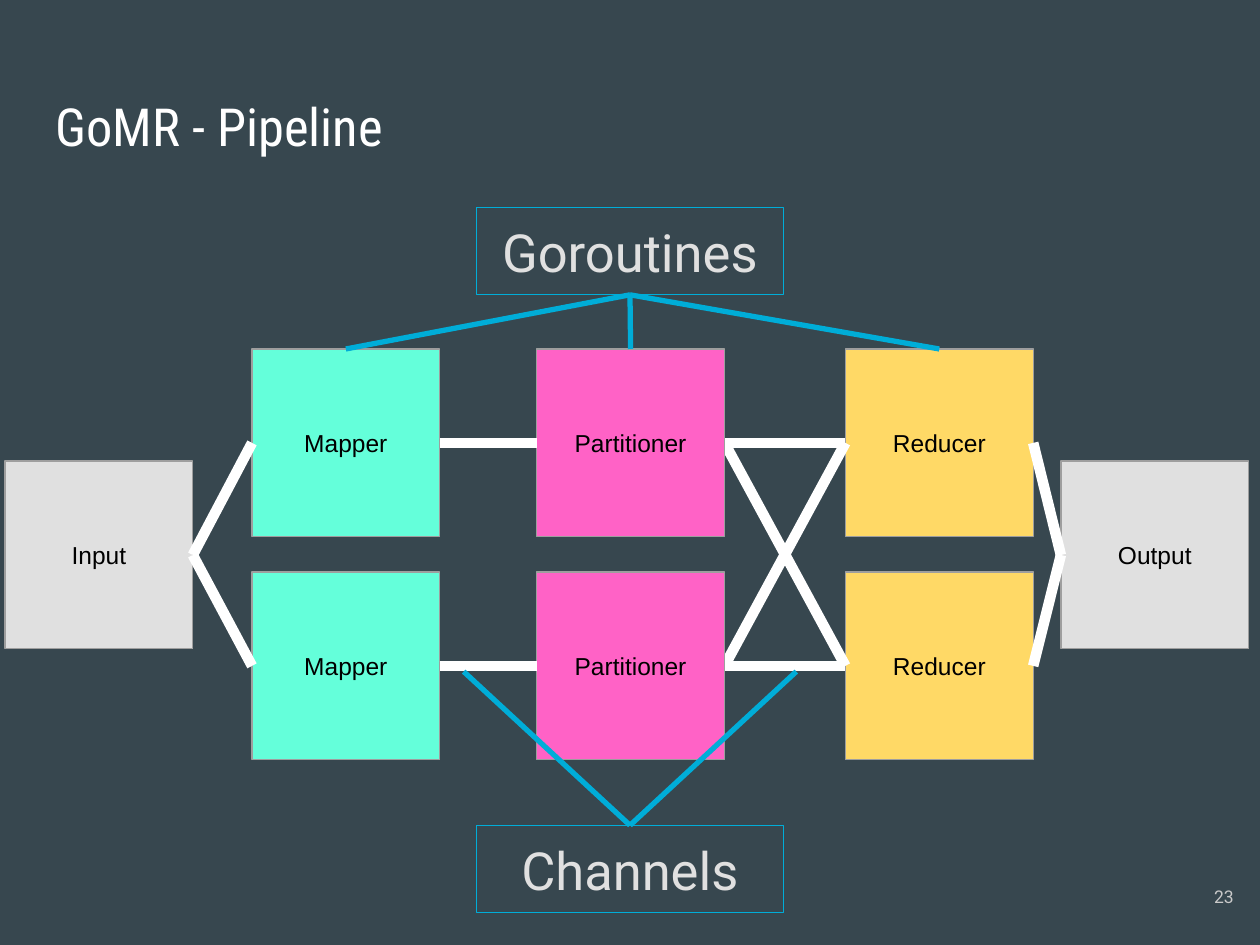
import itertools

import pptx
import pptx.dml.color
import pptx.enum.shapes
import pptx.enum.text
import pptx.oxml.ns
import pptx.util
from lxml import etree

COLORS = {
    "background": "37474F", "white": "FFFFFF", "black": "000000",
    "number": "CACACA", "label": "E0E0E0", "accent": "00ADD8",
    "edge": "9E9E9E", "data": "E0E0E0", "mapper": "64FFDA",
    "partitioner": "FF62C6", "reducer": "FFD966",
}
ALIGN = pptx.enum.text.PP_ALIGN
ANCHOR = pptx.enum.text.MSO_ANCHOR
COLUMNS, ROWS = 100, 75


def color(name):
    return pptx.dml.color.RGBColor.from_string(COLORS[name])


def set_values(target, values):
    for name, value in values.items():
        setattr(target, name, value)


class PipelineSlide:
    """Draws on one slide, with lengths in columns and rows of the grid."""

    FORMATS = {
        "title": ("Roboto Condensed", 30, "white", ALIGN.LEFT, ANCHOR.TOP),
        "label": ("Roboto", 30, "label", ALIGN.CENTER, ANCHOR.TOP),
        "stage": ("Arial", 14, "black", ALIGN.CENTER, ANCHOR.MIDDLE),
        "number": ("Roboto", 10, "number", ALIGN.RIGHT, ANCHOR.MIDDLE),
    }

    def __init__(self, deck):
        self.column = deck.slide_width / COLUMNS
        self.row = deck.slide_height / ROWS
        self.slide = deck.slides.add_slide(deck.slide_layouts[5])
        self.slide.background.fill.solid()
        self.slide.background.fill.fore_color.rgb = color("background")

    def place(self, left, top, width, height):
        return (round(left * self.column), round(top * self.row),
                round(width * self.column), round(height * self.row))

    def add_text(self, shape, text, style):
        font, size, ink, align, anchor = self.FORMATS[style]
        frame = shape.text_frame
        margins = ("margin_left", "margin_top", "margin_right", "margin_bottom")
        set_values(frame, dict.fromkeys(margins, pptx.util.Inches(0.1)))
        set_values(frame, {"word_wrap": True, "vertical_anchor": anchor,
                           "auto_size": pptx.enum.text.MSO_AUTO_SIZE.NONE})
        para = frame.paragraphs[0]
        para.alignment = align
        span = para.add_run()
        span.text = text
        set_values(span.font, {"name": font, "size": pptx.util.Pt(size)})
        span.font.color.rgb = color(ink)

    def title(self, text, *area):
        box = self.slide.shapes.title
        set_values(box, dict(zip(("left", "top", "width", "height"), self.place(*area))))
        self.add_text(box, text, "title")

    def number(self, text, *area):
        self.add_text(self.slide.shapes.add_textbox(*self.place(*area)), text, "number")

    def box(self, text, style, area, edge, fill=None):
        box = self.slide.shapes.add_shape(
            pptx.enum.shapes.MSO_SHAPE.RECTANGLE, *self.place(*area))
        box.shadow.inherit = False
        if fill:
            box.fill.solid()
            box.fill.fore_color.rgb = color(fill)
        else:
            box.fill.background()
        box.line.color.rgb = color(edge)
        box.line.width = pptx.util.Pt(0.75)
        self.add_text(box, text, style)

    def line(self, start, end, ink, width):
        line = self.slide.shapes.add_connector(
            pptx.enum.shapes.MSO_CONNECTOR.STRAIGHT, *self.place(*start, *end))
        line.line.color.rgb = color(ink)
        line.line.width = pptx.util.Pt(width)
        etree.SubElement(line._element.spPr, pptx.oxml.ns.qn("a:effectLst"))


def main():
    deck = pptx.Presentation()
    deck.slide_width, deck.slide_height = pptx.util.Inches(10), pptx.util.Inches(7.5)
    page = PipelineSlide(deck)
    page.title("GoMR - Pipeline", 3.4, 6.5, 93.2, 8.3)
    page.number("23", 92.9, 68.3, 6, 5.7)

    side = 14.9
    upper, middle, lower = 27.7, 36.6, 45.4
    pair, single = (upper, lower), (middle,)
    stages = {  # name: left, tops, fill
        "Input": (0.4, single, "data"),
        "Mapper": (20, pair, "mapper"),
        "Partitioner": (42.6, pair, "partitioner"),
        "Reducer": (67.1, pair, "reducer"),
        "Output": (84.2, single, "data"),
    }

    def draw_stage(name):
        left, tops, fill = stages[name]
        for top in tops:
            page.box(name, "stage", (left, top, side, side), "edge", fill)

    def link(source, target, same_lane=False):
        """Join the right edges of one stage to the left edges of the next."""
        start, tops, _ = stages[source]
        end, next_tops, _ = stages[target]
        lanes = zip(tops, next_tops) if same_lane else itertools.product(tops, next_tops)
        for top, next_top in lanes:
            page.line((start + side, top + side / 2),
                      (end, next_top + side / 2), "white", 6)

    for name in ("Input", "Mapper", "Reducer", "Output"):
        draw_stage(name)
    link("Input", "Mapper")
    link("Partitioner", "Reducer")
    link("Reducer", "Output")
    draw_stage("Partitioner")
    link("Mapper", "Partitioner", same_lane=True)

    center, label_width, label_height = COLUMNS / 2, 24.4, 6.9
    callouts = {  # label: top, anchor row, pointer ends
        "Goroutines": (16.45, 23.4, [(stages[name][0] + side / 2, upper) for name in
                                     ("Mapper", "Partitioner", "Reducer")]),
        "Channels": (65.5, 65.5, [(36.8, 53.3), (63.2, 53.3)]),
    }
    for label, (top, anchor_row, ends) in callouts.items():
        area = (center - label_width / 2, top, label_width, label_height)
        page.box(label, "label", area, "accent")
        for end in ends:
            page.line((center, anchor_row), end, "accent", 3)

    deck.save("out.pptx")


if __name__ == "__main__":
    main()
